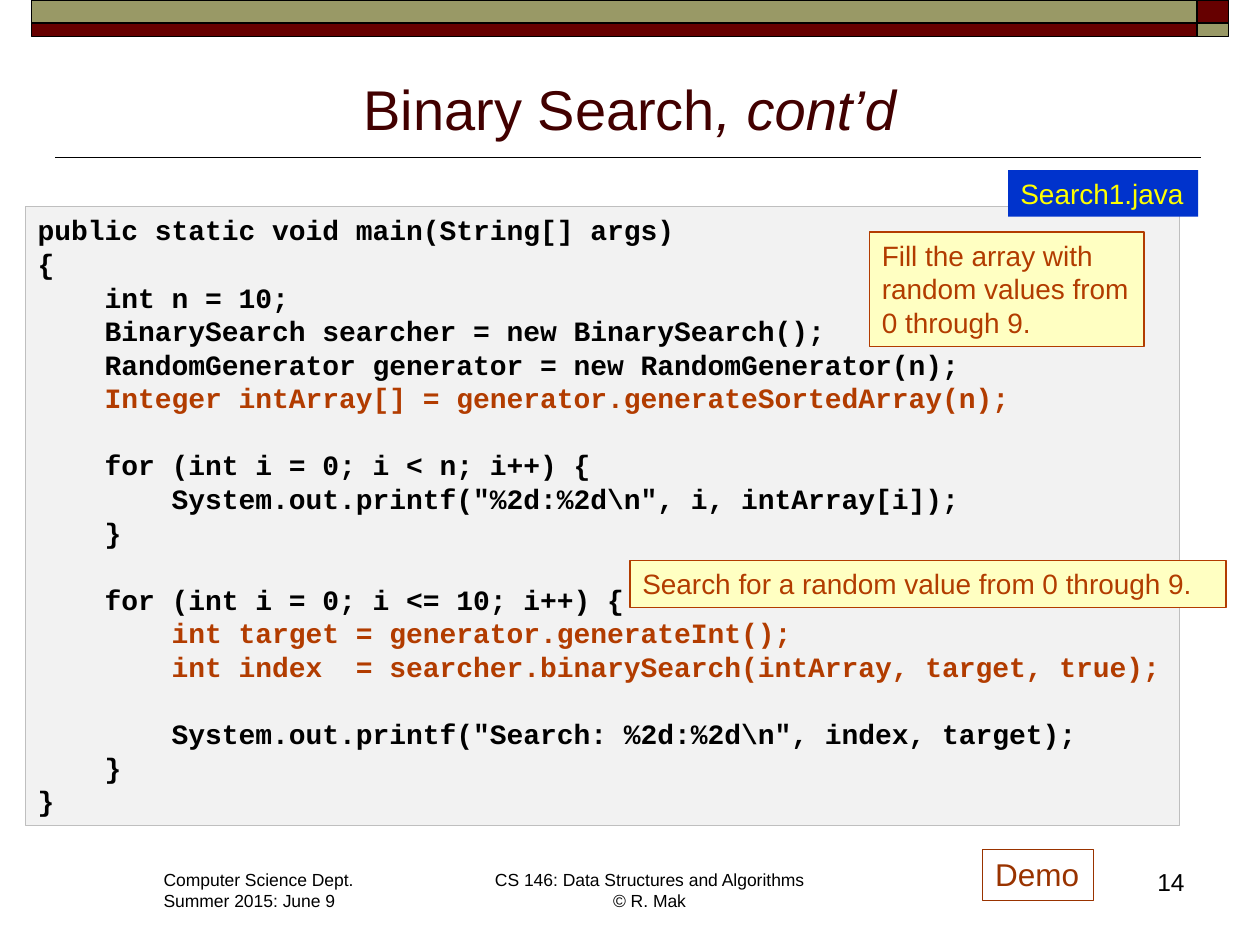
from pptx import Presentation
from pptx.dml.color import RGBColor
from pptx.enum.shapes import MSO_CONNECTOR, MSO_SHAPE
from pptx.enum.text import MSO_ANCHOR, PP_ALIGN
from pptx.oxml.ns import qn
from pptx.util import Inches, Pt
from lxml import etree

RECT = MSO_SHAPE.RECTANGLE
STRAIGHT = MSO_CONNECTOR.STRAIGHT
TOP, BOTTOM = MSO_ANCHOR.TOP, MSO_ANCHOR.BOTTOM
LEFT, CENTER, RIGHT = PP_ALIGN.LEFT, PP_ALIGN.CENTER, PP_ALIGN.RIGHT

BLACK, MAROON, OLIVE = "000000", "660000", "999966"
RUST, BROWN, CREAM = "B23C00", "993300", "FFFFC2"

CODE = r"""public static void main(String[] args)
{
    int n = 10;
    BinarySearch searcher = new BinarySearch();
    RandomGenerator generator = new RandomGenerator(n);
    Integer intArray[] = generator.generateSortedArray(n);

    for (int i = 0; i < n; i++) {
        System.out.printf("%2d:%2d\n", i, intArray[i]);
    }

    for (int i = 0; i <= 10; i++) {
        int target = generator.generateInt();
        int index  = searcher.binarySearch(intArray, target, true);

        System.out.printf("Search: %2d:%2d\n", index, target);
    }
}"""
HIGHLIGHTS = ("Integer intArray", "int target", "int index")


def rgb(value):
    return RGBColor.from_string(value)


def add_box(slide, x, y, w, h, fill=None, line=None, width=0.75):
    sp = slide.shapes.add_shape(RECT, Inches(x), Inches(y), Inches(w), Inches(h))
    sp.shadow.inherit = False
    if fill:
        sp.fill.solid()
        sp.fill.fore_color.rgb = rgb(fill)
    else:
        sp.fill.background()
    if line:
        sp.line.color.rgb = rgb(line)
        sp.line.width = Pt(width)
    else:
        sp.line.fill.background()
    return sp


def add_textbox(slide, x, y, w, h):
    return slide.shapes.add_textbox(Inches(x), Inches(y), Inches(w), Inches(h))


def style_run(r, size, color, font="Arial", bold=False):
    r.font.size = Pt(size)
    r.font.name = font
    r.font.bold = bold
    r.font.color.rgb = rgb(color)


def write(sp, text, size, color, align=LEFT, anchor=TOP, wrap=False):
    tf = sp.text_frame
    tf.text = text
    tf.word_wrap = wrap
    tf.vertical_anchor = anchor
    for p in tf.paragraphs:
        p.alignment = align
        for r in p.runs:
            style_run(r, size, color)


def add_banner(slide):
    for x, w, colors in ((0.25, 9.25, (OLIVE, MAROON)), (9.5, 0.25, (MAROON, OLIVE))):
        for y, h, color in zip((0, 0.18), (0.18, 0.11), colors):
            add_box(slide, x, y, w, h, color, BLACK, 1)


def add_rule(slide, x1, x2, y):
    line = slide.shapes.add_connector(STRAIGHT, Inches(x1), Inches(y), Inches(x2), Inches(y))
    line.line.color.rgb = rgb(BLACK)
    line.line.width = Pt(1)
    etree.SubElement(line._element.spPr, qn("a:effectLst"))


def add_title(slide):
    sp = add_textbox(slide, 0.5, 0.45, 9, 0.72)
    write(sp, "Binary Search", 32, "420000", CENTER, BOTTOM, True)
    r = sp.text_frame.paragraphs[0].add_run()
    r.text = ", cont’d"
    style_run(r, 32, "420000")
    r.font.italic = True


def add_footer(slide):
    write(add_textbox(slide, 1.2, 6.85, 1.73, 0.44),
          "Computer Science Dept.\nSummer 2015: June 9", 10, BLACK)
    write(add_textbox(slide, 3.82, 6.85, 2.67, 0.44),
          "CS 146: Data Structures and Algorithms\v© R. Mak", 10, BLACK, CENTER)
    write(add_textbox(slide, 7.42, 6.83, 2.08, 0.5), "14", 14, BLACK, RIGHT, wrap=True)


def add_code(slide):
    tf = add_box(slide, 0.2, 1.64, 9.16, 4.91, "F2F2F2", "BFBFBF").text_frame
    tf.word_wrap = False
    tf.vertical_anchor = TOP
    for i, line in enumerate(CODE.split("\n")):
        p = tf.add_paragraph() if i else tf.paragraphs[0]
        p.alignment = LEFT
        r = p.add_run()
        r.text = line or " "  # a run keeps the empty line at code size
        color = RUST if line.strip().startswith(HIGHLIGHTS) else BLACK
        style_run(r, 16, color, "Courier New", True)


def add_label(slide, box, text, color, fill=None, line=None, size=16):
    write(add_box(slide, *box, fill, line), text, size, color)


def main():
    prs = Presentation()
    prs.slide_width, prs.slide_height = Inches(10), Inches(7.5)
    slide = prs.slides.add_slide(prs.slide_layouts[6])
    add_rule(slide, 0.44, 9.53, 1.25)
    add_banner(slide)
    add_footer(slide)
    add_title(slide)
    add_code(slide)
    add_label(slide, (7.8, 6.74, 0.88, 0.41), "Demo", BROWN, line=BROWN, size=18)
    add_label(slide, (6.9, 1.84, 2.18, 0.91),
              "Fill the array with\nrandom values from\n0 through 9.", RUST, CREAM, RUST)
    add_label(slide, (5, 4.45, 4.73, 0.37),
              "Search for a random value from 0 through 9.", RUST, CREAM, RUST)
    add_label(slide, (8, 1.35, 1.51, 0.37), "Search1.java", "FFFF00", "0033CC")
    prs.save("out.pptx")


if __name__ == "__main__":
    main()
